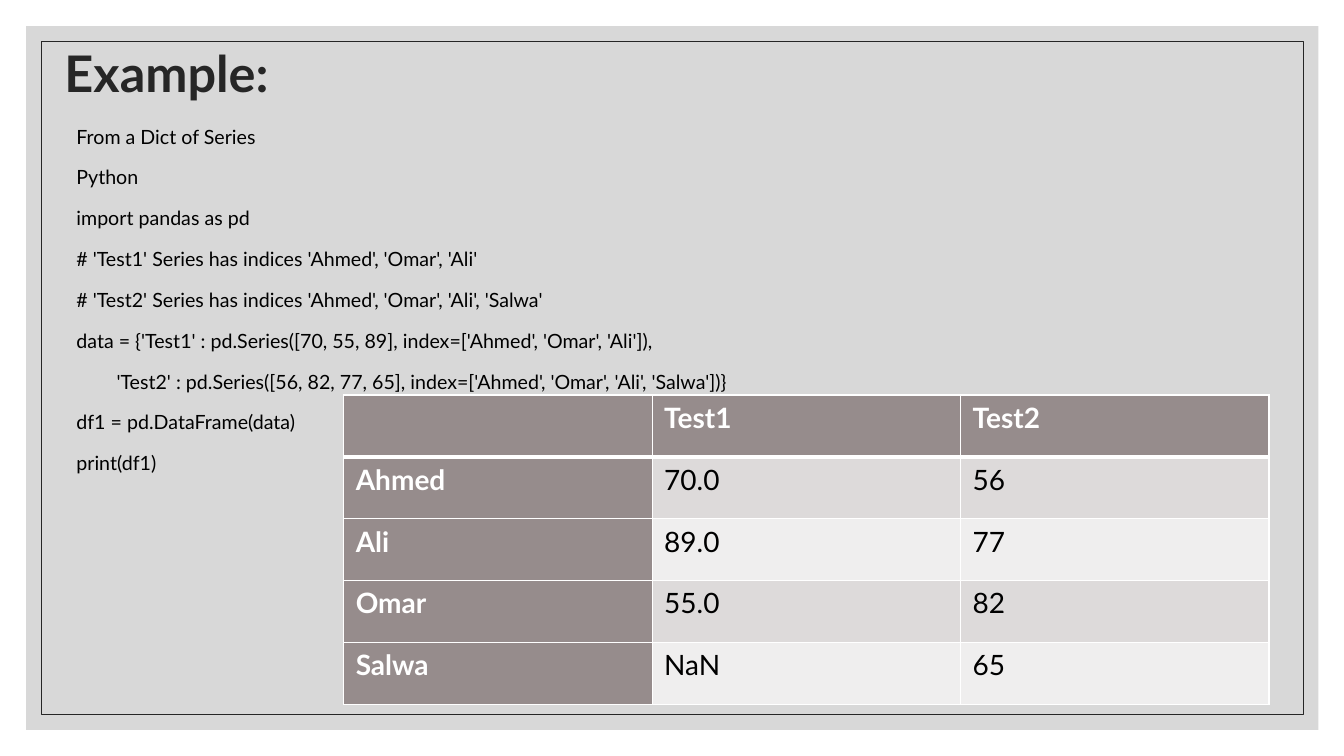
from dataclasses import dataclass

from lxml import etree
from pptx import Presentation
from pptx.dml.color import RGBColor
from pptx.enum import shapes, text
from pptx.oxml import ns
from pptx.util import Pt


@dataclass(frozen=True)
class Theme:
    font: str = "Lato"
    panel: str = "BFBFBF"
    ink: str = "262626"
    body: str = "000000"
    white: str = "FFFFFF"
    header: str = "968C8C"
    bands: tuple = ("DDDADA", "EFEEEE")
    title_size: float = 36
    code_size: float = 14
    cell_size: float = 20


class ExampleSlide:
    def __init__(self, slide, theme):
        self.slide = slide
        self.theme = theme

    def rectangle(self, left, top, width, height, fill=None, opacity=100, line=None):
        box = self.slide.shapes.add_shape(
            shapes.MSO_SHAPE.RECTANGLE, Pt(left), Pt(top), Pt(width), Pt(height))
        box.shadow.inherit = False
        if fill:
            box.fill.solid()
            box.fill.fore_color.rgb = RGBColor.from_string(fill)
            color = box.fill._xPr.find(".//" + ns.qn("a:srgbClr"))
            etree.SubElement(color, ns.qn("a:alpha"), val=str(opacity * 1000))
        else:
            box.fill.background()
        if line:
            box.line.color.rgb = RGBColor.from_string(line)
            box.line.width = Pt(0.5)
        else:
            box.line.fill.background()

    def style(self, paragraph, size, color, bold=False):
        font = paragraph.font
        font.name, font.size, font.bold = self.theme.font, Pt(size), bold
        font.color.rgb = RGBColor.from_string(color)

    def textbox(self, left, top, width, height, lines, size, color,
                bold=False, spacing=1.0, gap=0, anchor=text.MSO_ANCHOR.TOP):
        frame = self.slide.shapes.add_textbox(
            Pt(left), Pt(top), Pt(width), Pt(height)).text_frame
        frame.word_wrap = True
        frame.vertical_anchor = anchor
        for i, line in enumerate(lines):
            paragraph = frame.add_paragraph() if i else frame.paragraphs[0]
            paragraph.text = line
            paragraph.line_spacing = spacing
            paragraph.space_before = Pt(gap if i else 0)
            self.style(paragraph, size, color, bold)

    def borders(self, cell, **widths):
        """Draw white cell edges; widths are keyed L, R, T and B."""
        properties = cell._tc.get_or_add_tcPr()
        for i, side in enumerate("LRTB"):
            edge = etree.Element(ns.qn(f"a:ln{side}"), w=str(Pt(widths.get(side, 0.96))))
            fill = etree.SubElement(edge, ns.qn("a:solidFill"))
            etree.SubElement(fill, ns.qn("a:srgbClr"), val=self.theme.white)
            properties.insert(i, edge)

    def table(self, left, top, width, height, rows):
        grid = self.slide.shapes.add_table(
            len(rows), len(rows[0]), Pt(left), Pt(top), Pt(width), Pt(height)).table
        for r, row in enumerate(rows):
            for c, value in enumerate(row):
                cell = grid.cell(r, c)
                heading = r == 0 or c == 0
                fill = self.theme.header if heading else self.theme.bands[(r - 1) % 2]
                cell.fill.solid()
                cell.fill.fore_color.rgb = RGBColor.from_string(fill)
                self.borders(cell, **{0: {"B": 3}, 1: {"T": 3}}.get(r, {}))
                cell.vertical_anchor = text.MSO_ANCHOR.MIDDLE
                cell.margin_left = cell.margin_right = Pt(8.64)
                cell.margin_top = cell.margin_bottom = Pt(5.76)
                paragraph = cell.text_frame.paragraphs[0]
                paragraph.text = value
                paragraph.line_spacing = Pt(12)
                paragraph.space_after = Pt(6)
                color = self.theme.white if heading else self.theme.body
                self.style(paragraph, self.theme.cell_size, color, heading)


CODE = [
    "From a Dict of Series",
    "Python",
    "import pandas as pd",
    "# 'Test1' Series has indices 'Ahmed', 'Omar', 'Ali'",
    "# 'Test2' Series has indices 'Ahmed', 'Omar', 'Ali', 'Salwa'",
    "data = {'Test1' : pd.Series([70, 55, 89], index=['Ahmed', 'Omar', 'Ali']),",
    "        'Test2' : pd.Series([56, 82, 77, 65], index=['Ahmed', 'Omar', 'Ali', 'Salwa'])}",
    "df1 = pd.DataFrame(data)",
    "print(df1)",
]
SCORES = [
    ["", "Test1", "Test2"],
    ["Ahmed", "70.0", "56"],
    ["Ali", "89.0", "77"],
    ["Omar", "55.0", "82"],
    ["Salwa", "NaN", "65"],
]


def main():
    deck = Presentation()
    deck.slide_width, deck.slide_height = Pt(960), Pt(540)
    theme = Theme()
    page = ExampleSlide(deck.slides.add_slide(deck.slide_layouts[6]), theme)
    page.rectangle(18.7, 18.7, 923, 502.6, fill=theme.panel, opacity=60)
    page.rectangle(29.5, 29.5, 901.4, 481, line=theme.ink)
    page.textbox(39, 19.5, 792, 70, ["Example:"], theme.title_size, theme.ink,
                 bold=True, spacing=0.9, anchor=text.MSO_ANCHOR.MIDDLE)
    page.textbox(47.5, 82, 792, 303, CODE, theme.code_size, theme.body,
                 spacing=1.2, gap=9)
    page.table(245.5, 282.2, 661, 221, SCORES)
    deck.save("out.pptx")


if __name__ == "__main__":
    main()
